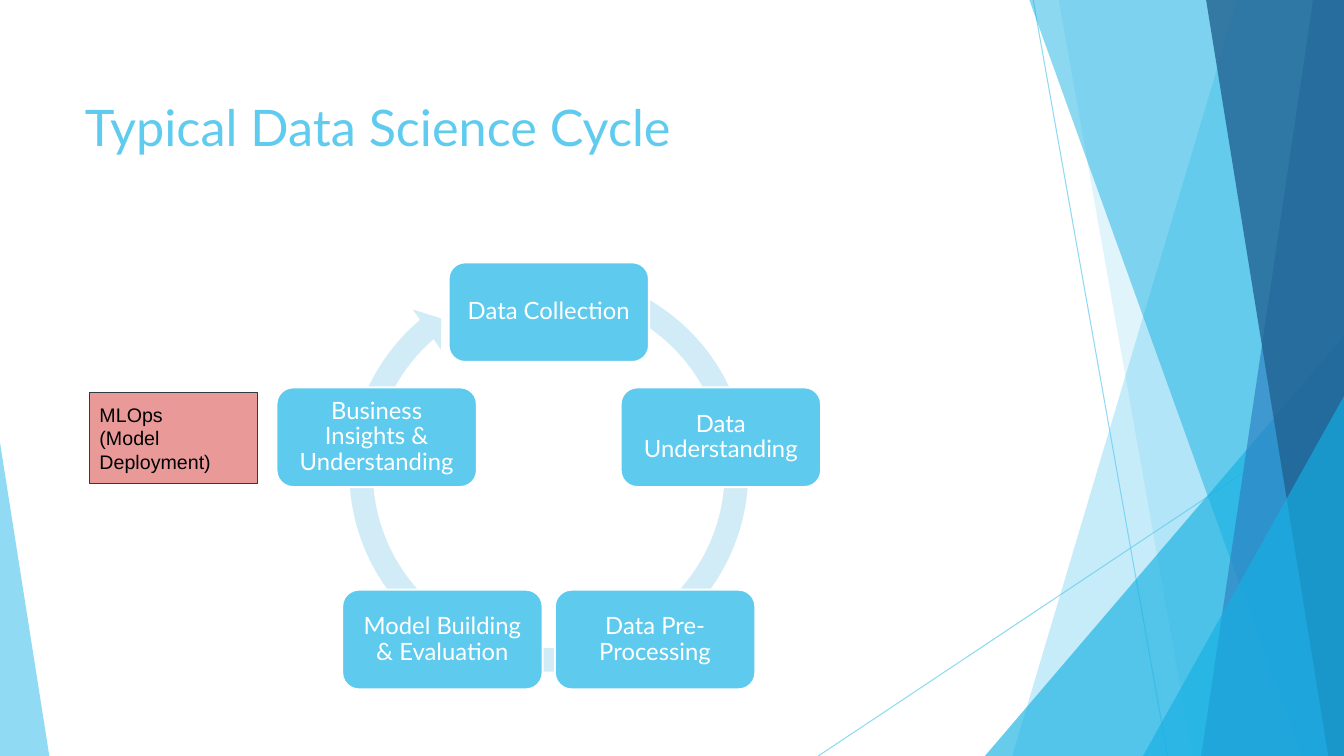
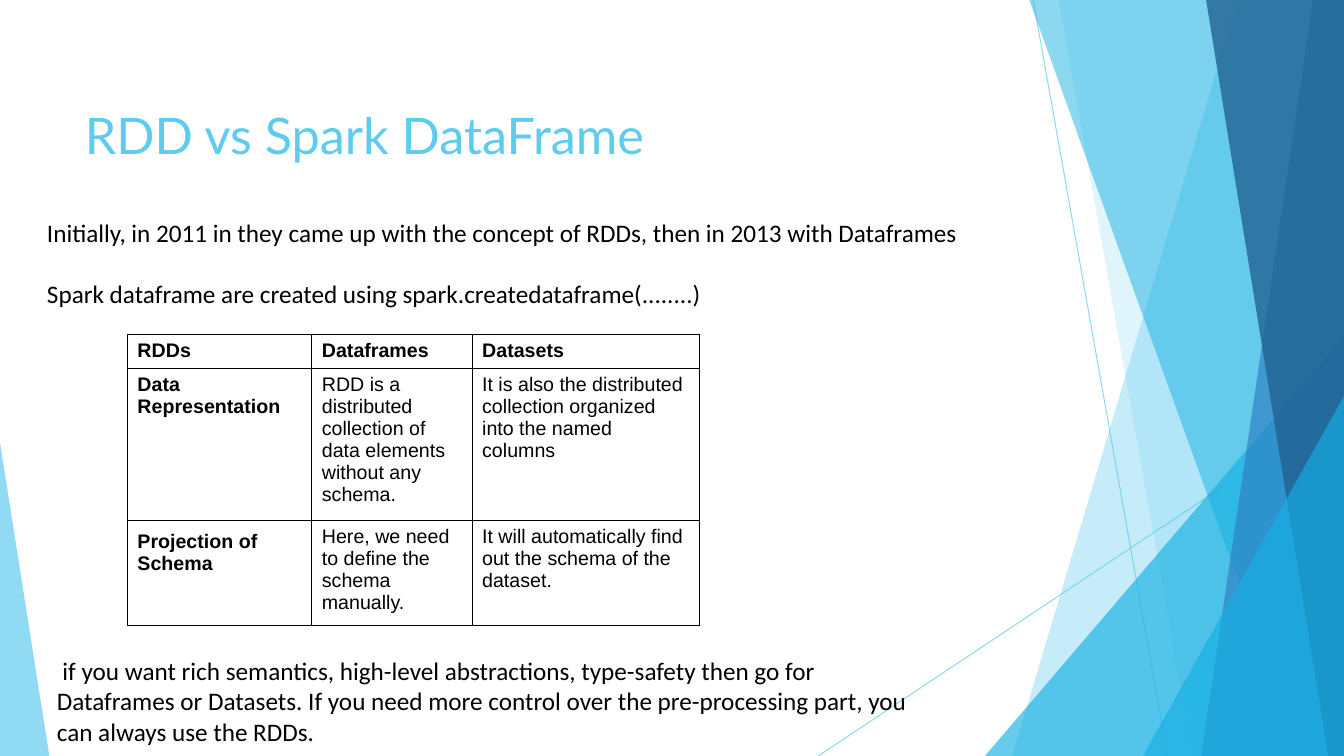
from math import cos, radians, sin

from pptx import Presentation
from pptx.dml.color import RGBColor
from pptx.enum import shapes, text
from pptx.oxml import ns, xmlchemy
from pptx.util import Pt

SKY = RGBColor(0x5F, 0xCB, 0xEF)
CYAN = RGBColor(0x16, 0xB0, 0xE3)
BLUE = RGBColor(0x2E, 0x83, 0xC3)
NAVY = RGBColor(0x22, 0x62, 0x92)
NODE = RGBColor(0x5E, 0xCB, 0xEE)
RING = RGBColor(0xD1, 0xEC, 0xF7)
PINK = RGBColor(0xEA, 0x99, 0x99)
SLATE = RGBColor(0x2C, 0x3C, 0x43)
WHITE = RGBColor(0xFF, 0xFF, 0xFF)
BLACK = RGBColor(0, 0, 0)

WIDTH, HEIGHT = 960, 540
RING_ADJUSTMENTS = (5544, 330680, 13768567, 17391790, 5757)
STAGES = [
    "Data Collection",
    "Data Understanding",
    "Data Pre-Processing",
    "Model Building & Evaluation",
    "Business Insights & Understanding",
]
COMPARISON = [
    ["RDDs", "Dataframes", "Datasets"],
    [
        "Data Representation",
        "RDD is a distributed collection of data elements without any schema.",
        "It is also the distributed collection organized into the named columns",
    ],
    [
        "Projection of Schema",
        "Here, we need to define the schema manually.",
        "It will automatically find out the schema of the dataset.",
    ],
]


def write_text(frame, lines, *, font, size, colour, bold=False, align=text.PP_ALIGN.LEFT,
               anchor=text.MSO_ANCHOR.TOP, insets=(7.2, 7.2), spacing=None, gap=0, indent=0):
    frame.word_wrap = True
    frame.vertical_anchor = anchor
    frame.margin_left = frame.margin_right = Pt(insets[0])
    frame.margin_top = frame.margin_bottom = Pt(insets[1])
    for index, line in enumerate(lines):
        para = frame.add_paragraph() if index else frame.paragraphs[0]
        para.alignment = align
        if spacing:
            para.line_spacing = spacing
        if index and gap:
            para.space_before = Pt(gap)
        if indent:
            para._p.get_or_add_pPr().set("indent", str(Pt(indent)))
        span = para.add_run()
        span.text = line
        span.font.name = font
        span.font.size = Pt(size)
        span.font.bold = bold
        span.font.color.rgb = colour


def add_text(page, left, top, width, height, lines, **style):
    box = page.shapes.add_textbox(Pt(left), Pt(top), Pt(width), Pt(height))
    write_text(box.text_frame, lines, **style)


def add_title(page, top, height, title):
    add_text(page, 53.5, top, 677, height, [title], font="Lato", size=36, colour=SKY,
             insets=(7.2, 3.6))


def set_opacity(shape, percent):
    for colour in shape.element.iter(ns.qn("a:srgbClr")):
        alpha = xmlchemy.OxmlElement("a:alpha")
        alpha.set("val", str(percent * 1000))
        colour.append(alpha)


def paint(shape, fill, opacity=100, line=None, line_width=0.75):
    shape.shadow.inherit = False
    shape.fill.solid()
    shape.fill.fore_color.rgb = fill
    if opacity < 100:
        set_opacity(shape, opacity)
    if line is None:
        shape.line.fill.background()
    else:
        shape.line.color.rgb = line
        shape.line.width = Pt(line_width)


def add_box(page, kind, left, top, width, height, fill, **look):
    box = page.shapes.add_shape(kind, Pt(left), Pt(top), Pt(width), Pt(height))
    paint(box, fill, **look)
    return box


def add_band(page, top_x, bottom_x, fill, opacity):
    corners = [(top_x, 0), (WIDTH, 0), (WIDTH, HEIGHT), (bottom_x, HEIGHT)]
    start, *others = [(Pt(x), Pt(y)) for x, y in corners]
    builder = page.shapes.build_freeform(*start)
    builder.add_line_segments(others, close=True)
    paint(builder.convert_to_shape(), fill, opacity)


def add_wedge(page, left, top, width, apex, fill, opacity):
    wedge = add_box(page, shapes.MSO_SHAPE.ISOSCELES_TRIANGLE, left, top, width, HEIGHT - top,
                    fill, opacity=opacity)
    wedge.adjustments[0] = apex


def add_thin_line(page, start, end):
    line = page.shapes.add_connector(shapes.MSO_CONNECTOR.STRAIGHT,
                                     Pt(start[0]), Pt(start[1]), Pt(end[0]), Pt(end[1]))
    line.line.color.rgb = SKY
    line.line.width = Pt(0.75)
    set_opacity(line, 69)
    line.element.spPr.append(xmlchemy.OxmlElement("a:effectLst"))


def add_facets(page):
    add_thin_line(page, (738, 0), (834, HEIGHT))
    add_thin_line(page, (WIDTH, 290), (584.5, HEIGHT))
    add_band(page, 884, 723, SKY, 35)
    add_band(page, 756.25, 852, SKY, 20)
    add_wedge(page, 703.5, 240, 256.5, 1, CYAN, 65)
    add_band(page, 735.25, 929.5, CYAN, 49)
    add_band(page, 938, 858, BLUE, 69)
    add_band(page, 861.5, 948.75, NAVY, 80)
    add_wedge(page, 816.5, 283, 143.5, 1, CYAN, 65)
    add_wedge(page, 0, 316, 35.25, 0, SKY, 69)


def add_cycle(page, stages):
    ring = add_box(page, shapes.MSO_SHAPE.CIRCULAR_ARROW, 240.5, 185.75, 303, 303, RING)
    for index, value in enumerate(RING_ADJUSTMENTS):
        ring.adjustments[index] = value / 100000
    width, height = 143.25, 71.25
    for index, stage in enumerate(stages):
        angle = radians(index * 360 / len(stages))
        x, y = 392 + 129.25 * sin(angle), 352.25 - 129.25 * cos(angle)
        node = add_box(page, shapes.MSO_SHAPE.ROUNDED_RECTANGLE, x - width / 2, y - height / 2,
                       width, height, NODE, line=WHITE, line_width=1.5)
        write_text(node.text_frame, [stage], font="Lato", size=17, colour=WHITE, spacing=0.9,
                   align=text.PP_ALIGN.CENTER, anchor=text.MSO_ANCHOR.MIDDLE, insets=(8.5, 8.5))


def add_borders(cell):
    properties = cell._tc.get_or_add_tcPr()
    for side in ("a:lnL", "a:lnR", "a:lnT", "a:lnB"):
        border = xmlchemy.OxmlElement(side)
        border.set("w", str(Pt(0.75)))
        fill = xmlchemy.OxmlElement("a:solidFill")
        colour = xmlchemy.OxmlElement("a:srgbClr")
        colour.set("val", str(BLACK))
        fill.append(colour)
        border.append(fill)
        properties.append(border)


def add_comparison(page, left, top, widths, heights, rows):
    table = page.shapes.add_table(len(rows), len(widths), Pt(left), Pt(top),
                                  Pt(sum(widths)), Pt(sum(heights))).table
    table.first_row = table.horz_banding = False
    for column, width in zip(table.columns, widths):
        column.width = Pt(width)
    for r, (row, height) in enumerate(zip(rows, heights)):
        table.rows[r].height = Pt(height)
        for c, content in enumerate(row):
            cell = table.cell(r, c)
            add_borders(cell)
            cell.fill.background()
            last_label = r == len(rows) - 1 and c == 0
            write_text(cell.text_frame, [content], font="Arial", size=14, colour=BLACK,
                       bold=r == 0 or c == 0)
            cell.vertical_anchor = text.MSO_ANCHOR.TOP
            cell.margin_left = cell.margin_right = Pt(7.2)
            cell.margin_top = cell.margin_bottom = Pt(7.2 if last_label else 3.6)


def build_cycle_page(page):
    add_title(page, 65.25, 103.5, "Typical Data Science Cycle")
    add_cycle(page, STAGES)
    deployment = add_box(page, shapes.MSO_SHAPE.RECTANGLE, 64, 280.25, 120.25, 65.25, PINK,
                         line=SLATE)
    write_text(deployment.text_frame, ["MLOps", "(Model Deployment)"], font="Arial", size=14,
               colour=BLACK, anchor=text.MSO_ANCHOR.MIDDLE)


def build_comparison_page(page):
    body = dict(font="Calibri", size=18, colour=BLACK)
    add_title(page, 71, 52, "RDD vs Spark DataFrame")
    add_text(page, 26.5, 148, 747.5, 80, [
        "Initially, in 2011 in they came up with the concept of RDDs, then in 2013 with Dataframes",
        "Spark dataframe are created using spark.createdataframe(........)",
    ], gap=22, **body)
    add_text(page, 33.5, 461, 625, 80, [
        "if you want rich semantics, high-level abstractions, type-safety then go for Dataframes "
        "or Datasets. If you need more control over the pre-processing part, you can always use "
        "the RDDs.",
    ], indent=4, **body)
    add_comparison(page, 91, 239, [131.75, 114.5, 162.5], [24, 109, 74], COMPARISON)


def main():
    deck = Presentation()
    deck.slide_width, deck.slide_height = Pt(WIDTH), Pt(HEIGHT)
    for build in (build_cycle_page, build_comparison_page):
        page = deck.slides.add_slide(deck.slide_layouts[6])
        add_facets(page)
        build(page)
    deck.save("out.pptx")


if __name__ == "__main__":
    main()
